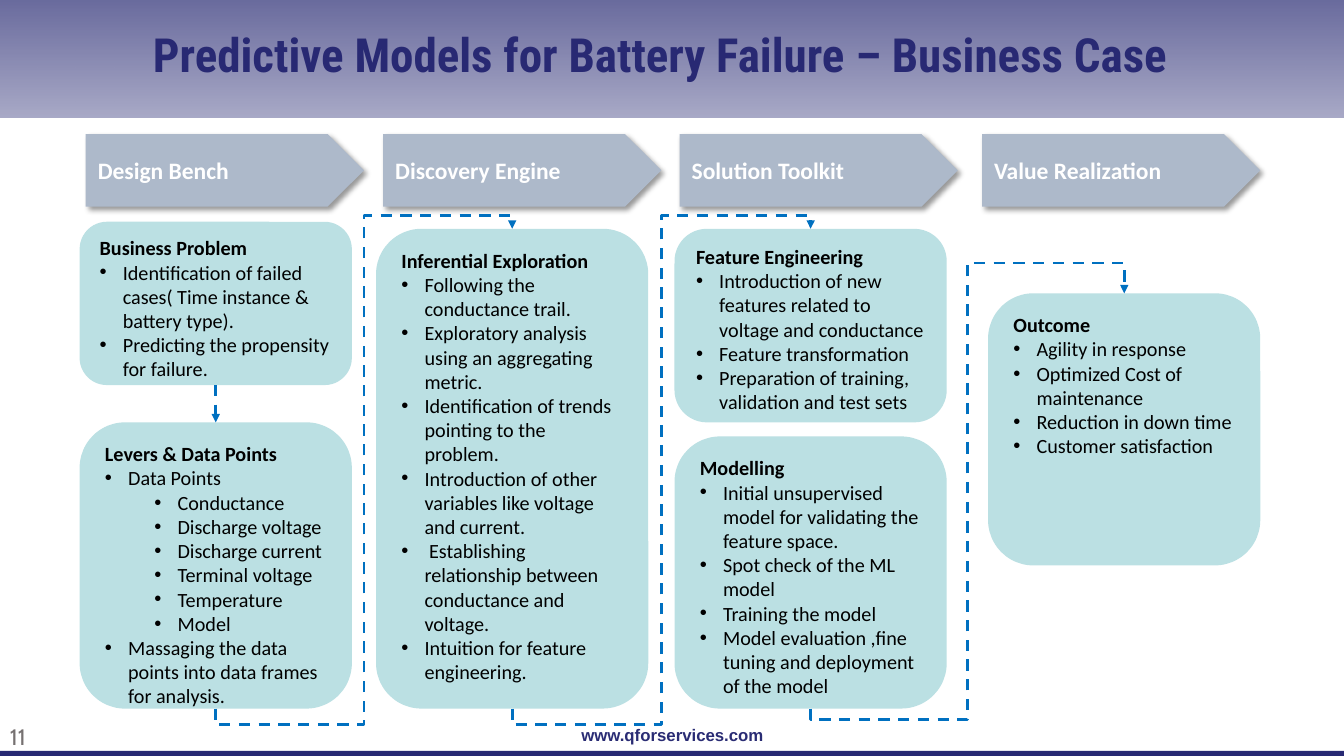
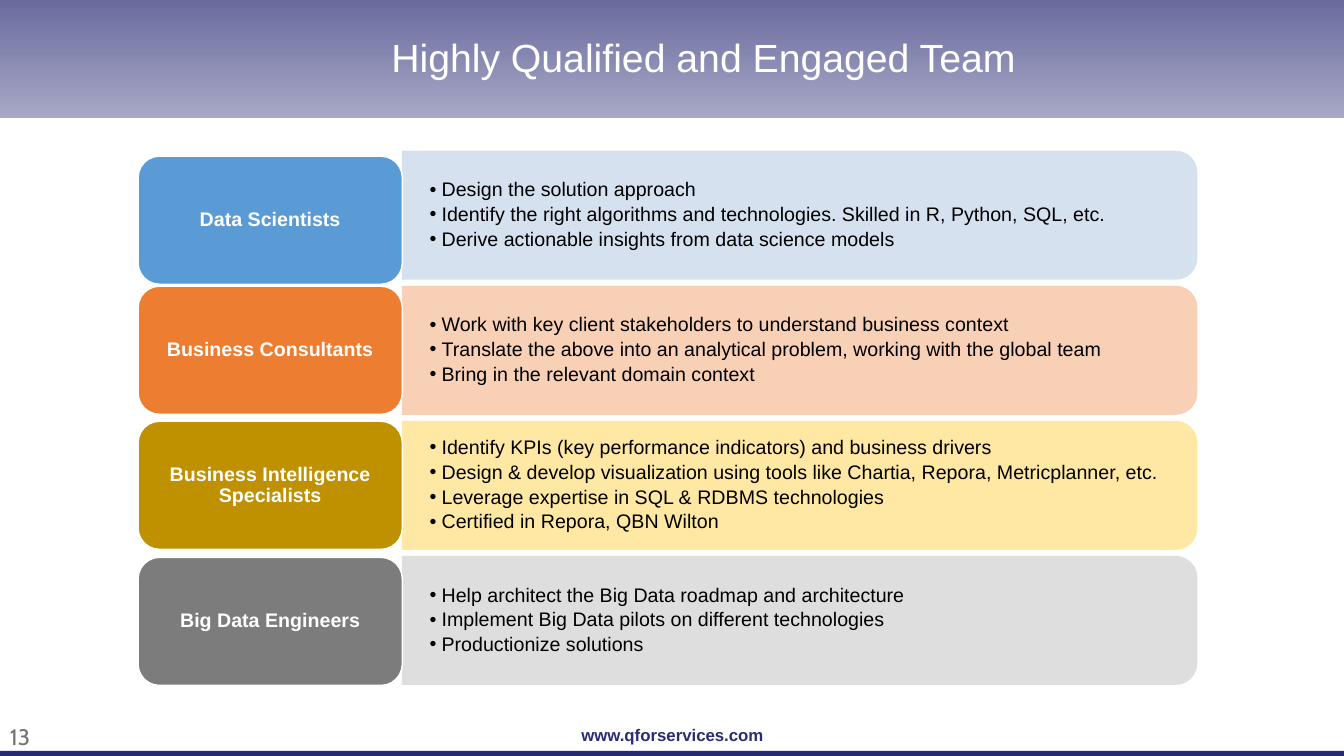
from lxml import etree
from pptx import Presentation
from pptx import util as u
from pptx.dml.color import RGBColor
from pptx.enum import dml, shapes, text
from pptx.oxml import parse_xml
from pptx.oxml.ns import nsdecls, qn

HUE = {
    "band": "282A73", "rule": "272973", "site": "2A2C74", "page": "767171",
    "title": "282973", "head": "ADB9CA", "card": "BBE0E3", "wire": "0070C0",
    "ink": "000000", "white": "FFFFFF",
}
KIND = shapes.MSO_SHAPE
MID = text.MSO_ANCHOR.MIDDLE
TOP = text.MSO_ANCHOR.TOP
LEFT = text.PP_ALIGN.LEFT
CENTER = text.PP_ALIGN.CENTER


def add(slide, kind, at, fill=None, inset=(0.1, 0.05), anchor=TOP):
    """Add a plain shape, or a text box when kind is None."""
    spot = [u.Inches(n) for n in at]
    if kind is None:
        shape = slide.shapes.add_textbox(*spot)
    else:
        shape = slide.shapes.add_shape(kind, *spot)
        shape.shadow.inherit = False
        shape.line.fill.background()
    if fill:
        shape.fill.solid()
        shape.fill.fore_color.rgb = RGBColor.from_string(fill)
    frame = shape.text_frame
    frame.word_wrap = True
    frame.vertical_anchor = anchor
    frame.margin_left = frame.margin_right = u.Inches(inset[0])
    frame.margin_top = frame.margin_bottom = u.Inches(inset[1])
    return shape


def say(shape, words, size, font, hue, bold=False, align=LEFT, dot=None, level=0):
    """Add one paragraph; dot is (left margin, hang) of its bullet."""
    frame = shape.text_frame
    para = frame.paragraphs[0]
    if para.runs:
        para = frame.add_paragraph()
    para.alignment = align
    para.level = level
    if dot:
        props = para._p.get_or_add_pPr()
        props.set("marL", str(u.Inches(dot[0])))
        props.set("indent", str(-u.Inches(dot[1])))
        etree.SubElement(props, qn("a:buFont"), typeface="Arial")
        etree.SubElement(props, qn("a:buChar"), char="•")
    run = para.add_run()
    run.text = words
    run.font.size = u.Pt(size)
    run.font.name = font
    run.font.bold = bold
    run.font.color.rgb = RGBColor.from_string(hue)
    return para


deck = Presentation()
deck.slide_width = u.Inches(13.33)
deck.slide_height = u.Inches(7.5)

# Frame shared by the slides: band, rule, site, page number, title
PAGES = [
    ("11", "Predictive Models for Battery Failure – Business Case",
     (1.21, 0.2, 10.68, 0.66), 33.6, "Roboto Condensed", HUE["title"], True),
    ("13", "Highly Qualified and Engaged Team",
     (3.23, 0.28, 7.49, 0.74), 28, "Arial", HUE["white"], False),
]
for num, title, at, size, font, hue, bold in PAGES:
    slide = deck.slides.add_slide(deck.slide_layouts[6])
    band = add(slide, KIND.RECTANGLE, (0, 0, 13.33, 1.17), HUE["band"])
    props = band._element.spPr
    stops = "".join(
        f'<a:gs pos="{pos}"><a:srgbClr val="{HUE["band"]}">'
        f'<a:alpha val="{alpha}"/></a:srgbClr></a:gs>'
        for pos, alpha in ((0, 70000), (100000, 40000)))
    props.replace(props.find(qn("a:solidFill")), parse_xml(
        f'<a:gradFill {nsdecls("a")}><a:gsLst>{stops}</a:gsLst>'
        '<a:lin ang="5400000" scaled="0"/></a:gradFill>'))
    add(slide, KIND.RECTANGLE, (0, 7.45, 13.33, 0.05), HUE["rule"])
    site = add(slide, None, (5.06, 7.14, 3.22, 0.3))
    say(site, "www.qforservices.com", 12, "Arial", HUE["site"], True, CENTER)
    page = add(slide, None, (0, 7.13, 0.99, 0.37))
    say(page, num, 16, "Cabin", HUE["page"])
    head = add(slide, None, at)
    say(head, title, size, font, hue, bold, CENTER)
case, team = deck.slides

# Business case: stage arrows
STAGES = [(0.85, "Design Bench"), (3.8, "Discovery Engine"),
          (6.74, "Solution Toolkit"), (9.74, "Value Realization")]
for left, name in STAGES:
    stage = add(case, KIND.PENTAGON, (left, 1.33, 2.76, 0.72), HUE["head"],
                (0.12, 0.06), MID)
    say(stage, name, 16.8, "Calibri", HUE["white"], True)
    glow = stage._element.spPr.find(qn("a:effectLst"))
    glow.append(parse_xml(
        f'<a:outerShdw {nsdecls("a")} blurRad="{u.Pt(4)}" dist="{u.Pt(3)}" '
        'dir="2700000" algn="tl" rotWithShape="0"><a:srgbClr val="000000">'
        '<a:alpha val="40000"/></a:srgbClr></a:outerShdw>'))

# Business case: cards as left, top, height, heading, points (a list is a sublevel)
CARDS = [
    (0.79, 2.2, 1.62, "Business Problem", [
        "Identification of failed cases( Time instance & battery type).",
        "Predicting the propensity for failure."]),
    (0.79, 4.19, 2.84, "Levers & Data Points", [
        "Data Points",
        ["Conductance", "Discharge voltage", "Discharge current",
         "Terminal voltage", "Temperature", "Model"],
        "Massaging the data points into data frames for analysis."]),
    (3.73, 2.27, 4.76, "Inferential Exploration", [
        "Following the conductance trail.",
        "Exploratory analysis using an aggregating metric.",
        "Identification of trends pointing to the problem.",
        "Introduction of other variables like voltage and current.",
        " Establishing relationship between conductance and voltage.",
        "Intuition for feature engineering."]),
    (6.69, 2.27, 1.92, "Feature Engineering", [
        "Introduction of new features related to voltage and conductance",
        "Feature transformation",
        "Preparation of training, validation and test sets"]),
    (6.69, 4.33, 2.7, "Modelling", [
        "Initial unsupervised model for validating the feature space.",
        "Spot check of the ML model",
        "Training the model",
        "Model evaluation ,fine tuning and deployment of the model"]),
    (9.8, 2.91, 2.7, "Outcome", [
        "Agility in response",
        "Optimized Cost of maintenance",
        "Reduction in down time",
        "Customer satisfaction"]),
]
cards = []
for left, top, high, name, points in CARDS:
    card = add(case, KIND.ROUNDED_RECTANGLE, (left, top, 2.7, high),
               HUE["card"], (0.12, 0.06))
    say(card, name, 14.4, "Calibri", HUE["ink"], True)
    for point in points:
        deep = isinstance(point, list)
        for item in point if deep else [point]:
            say(card, item, 14.4, "Calibri", HUE["ink"],
                dot=(0.72 if deep else 0.23, 0.23), level=int(deep))
    cards.append(card)

# Business case: dashed links as from card, to card, drop below, lift above
LINKS = [(0, 1, 0, 0), (1, 2, 0.16, 0.13), (2, 3, 0.16, 0.13), (4, 5, 0.11, 0.3)]
for start, end, drop, lift in LINKS:
    form = shapes.MSO_CONNECTOR.ELBOW if drop else shapes.MSO_CONNECTOR.STRAIGHT
    link = case.shapes.add_connector(form, 0, 0, 0, 0)
    link.begin_connect(cards[start], 2)
    link.end_connect(cards[end], 0)
    link.line.color.rgb = RGBColor.from_string(HUE["wire"])
    link.line.width = u.Pt(2)
    link.line.dash_style = dml.MSO_LINE.DASH
    props = link._element.spPr
    etree.SubElement(props.find(qn("a:ln")), qn("a:tailEnd"), type="triangle")
    etree.SubElement(props, qn("a:effectLst"))
    if drop:
        # Five-part elbow: lies on its side, so width and height swap
        wide, high = link.width, link.height
        midx, midy = link.left + wide // 2, link.top + high // 2
        link.left, link.top = midx - high // 2, midy - wide // 2
        link.width, link.height = high, wide
        frame = props.find(qn("a:xfrm"))
        for key, val in (("rot", "5400000"), ("flipH", "1"), ("flipV", "1")):
            frame.set(key, val)
        geom = props.find(qn("a:prstGeom"))
        geom.set("prst", "bentConnector5")
        guides = geom.find(qn("a:avLst"))
        bends = (-u.Inches(drop) / high, 0.5, 1 + u.Inches(lift) / high)
        for place, bend in enumerate(bends, 1):
            etree.SubElement(guides, qn("a:gd"), name=f"adj{place}",
                             fmla=f"val {round(bend * 100000)}")

# Team: rows as label top, label colour, bar colour, role, duties
ROWS = [
    (1.55, "5B9BD5", "D2DEEF", "Data Scientists", [
        "Design the solution approach",
        "Identify the right algorithms and technologies. Skilled in R, Python, SQL, etc.",
        "Derive actionable insights from data science models"]),
    (2.84, "ED7D31", "F8CBAD", "Business Consultants", [
        "Work with key client stakeholders to understand business context",
        "Translate the above into an analytical problem, working with the global team",
        "Bring in the relevant domain context"]),
    (4.18, "BF9000", "FFE699", "Business Intelligence Specialists", [
        "Identify KPIs (key performance indicators) and business drivers",
        "Design & develop visualization using tools like Chartia, Repora, Metricplanner, etc.",
        "Leverage expertise in SQL & RDBMS technologies",
        "Certified in Repora, QBN Wilton"]),
    (5.53, "7C7C7C", "DBDBDB", "Big Data Engineers", [
        "Help architect the Big Data roadmap and architecture",
        "Implement Big Data pilots on different technologies",
        "Productionize solutions"]),
]
STEP = 1.34
for row, (top, dark, pale, role, duties) in enumerate(ROWS):
    bar = add(team, KIND.ROUND_2_SAME_RECTANGLE,
              (7.29, -1.81 + row * STEP, 1.28, 7.89), pale)
    bar.rotation = 90
    tint = bar._element.spPr.find(qn("a:solidFill"))[0]
    etree.SubElement(tint, qn("a:alpha"), val="90000")
    body = add(team, None, (3.99, 1.56 + row * STEP, 7.83, 1.15),
               inset=(0.27, 0.14), anchor=MID)
    for duty in duties:
        para = say(body, duty, 14, "Arial", HUE["ink"], dot=(0.12, 0.12), level=1)
        para.line_spacing = 0.9
        para.space_after = u.Pt(2.5)
    label = add(team, KIND.ROUNDED_RECTANGLE, (1.37, top, 2.62, 1.27), dark,
                (0.06, 0.03), MID)
    label.line.color.rgb = RGBColor.from_string(HUE["white"])
    label.line.width = u.Pt(1)
    para = say(label, role, 14, "Arial", HUE["white"], True, CENTER)
    para.line_spacing = 0.9

deck.save("out.pptx")
